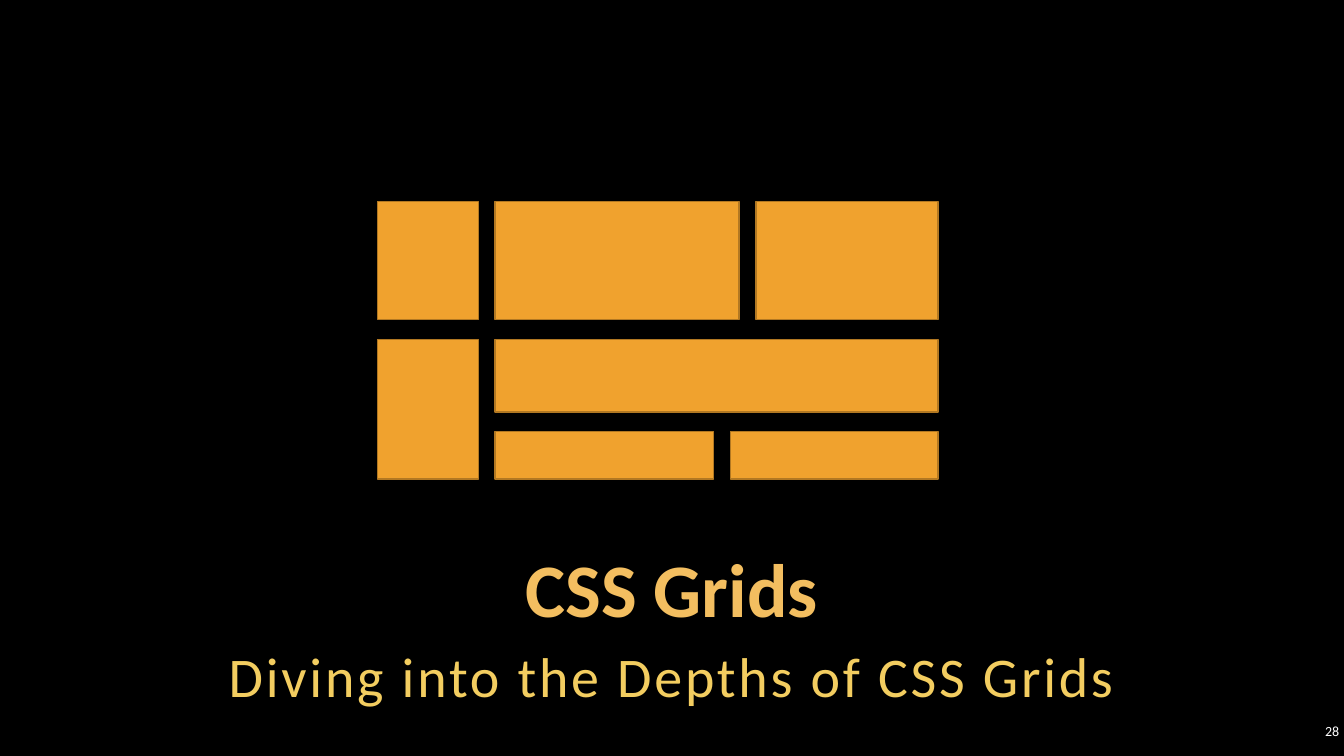
from pptx import Presentation
from pptx.dml.color import RGBColor
from pptx.enum.shapes import MSO_SHAPE
from pptx.enum.text import MSO_ANCHOR as Anchor, PP_ALIGN as Align
from pptx.util import Cm, Pt

BLACK = RGBColor(0x00, 0x00, 0x00)
WHITE = RGBColor(0xFF, 0xFF, 0xFF)
ORANGE = RGBColor(0xF0, 0xA2, 0x2E)
BROWN = RGBColor(0xB2, 0x78, 0x22)
TITLE_GOLD = RGBColor(0xF3, 0xBE, 0x60)
SUBTITLE_GOLD = RGBColor(0xF3, 0xCD, 0x60)


class SlideBuilder:
    font_name = "Calibri"
    inset = Cm(0.1)

    def __init__(self, slide):
        self.slide = slide

    def background(self, color):
        fill = self.slide.background.fill
        fill.solid()
        fill.fore_color.rgb = color

    def text(self, content, left, top, width, height, size, color,
             align=Align.CENTER, anchor=Anchor.TOP, bold=False,
             line_spacing=1.0, tracking=0):
        box = self.slide.shapes.add_textbox(Cm(left), Cm(top), Cm(width), Cm(height))
        frame = box.text_frame
        frame.word_wrap = True
        frame.vertical_anchor = anchor
        frame.margin_left = frame.margin_right = self.inset
        frame.margin_top = frame.margin_bottom = self.inset
        frame.text = content
        paragraph = frame.paragraphs[0]
        paragraph.alignment = align
        paragraph.line_spacing = line_spacing
        font = paragraph.runs[0].font
        font.name = self.font_name
        font.size = Pt(size)
        font.bold = bold
        font.color.rgb = color
        if tracking:
            # Letter spacing in hundredths of a point
            paragraph.runs[0]._r.get_or_add_rPr().set("spc", str(tracking * 100))

    def tile(self, left, top, width, height):
        shape = self.slide.shapes.add_shape(
            MSO_SHAPE.RECTANGLE, Cm(left), Cm(top), Cm(width), Cm(height))
        shape.shadow.inherit = False
        shape.fill.solid()
        shape.fill.fore_color.rgb = ORANGE
        shape.line.color.rgb = BROWN
        shape.line.width = Pt(1)

    def tile_row(self, left, top, widths, height, gap):
        for width in widths:
            self.tile(left, top, width, height)
            left += width + gap


def main():
    presentation = Presentation()
    presentation.slide_width = Cm(33.87)
    presentation.slide_height = Cm(19.05)
    builder = SlideBuilder(presentation.slides.add_slide(presentation.slide_layouts[6]))
    builder.background(BLACK)

    # Title, subtitle and slide number
    builder.text("CSS Grids", 2.54, 13.77, 28.78, 2.29, 54, TITLE_GOLD,
                 anchor=Anchor.BOTTOM, bold=True, line_spacing=0.9)
    builder.text("Diving into the Depths of CSS Grids", 2.54, 15.98, 28.78, 2.01,
                 40, SUBTITLE_GOLD, line_spacing=1.05, tracking=2)
    builder.text("28", 32.66, 18.14, 1.19, 0.56, 10, WHITE,
                 align=Align.RIGHT, anchor=Anchor.MIDDLE)

    # Grid drawing: a side column and three rows of main tiles
    grid_left, grid_top = 9.52, 5.08
    column_gap, row_gap = 0.42, 0.5
    side_width = 2.54
    main_left = grid_left + side_width + column_gap
    rows = [(2.97, [6.15, 4.59]), (1.83, [11.16]), (1.19, [5.51, 5.23])]

    top = grid_top
    for height, widths in rows:
        builder.tile_row(main_left, top, widths, height, column_gap)
        top += height + row_gap

    # The lower side tile spans the second and third rows
    heights = [height for height, _ in rows]
    builder.tile(grid_left, grid_top, side_width, heights[0])
    builder.tile(grid_left, grid_top + heights[0] + row_gap, side_width,
                 heights[1] + row_gap + heights[2])

    presentation.save("out.pptx")


if __name__ == "__main__":
    main()
